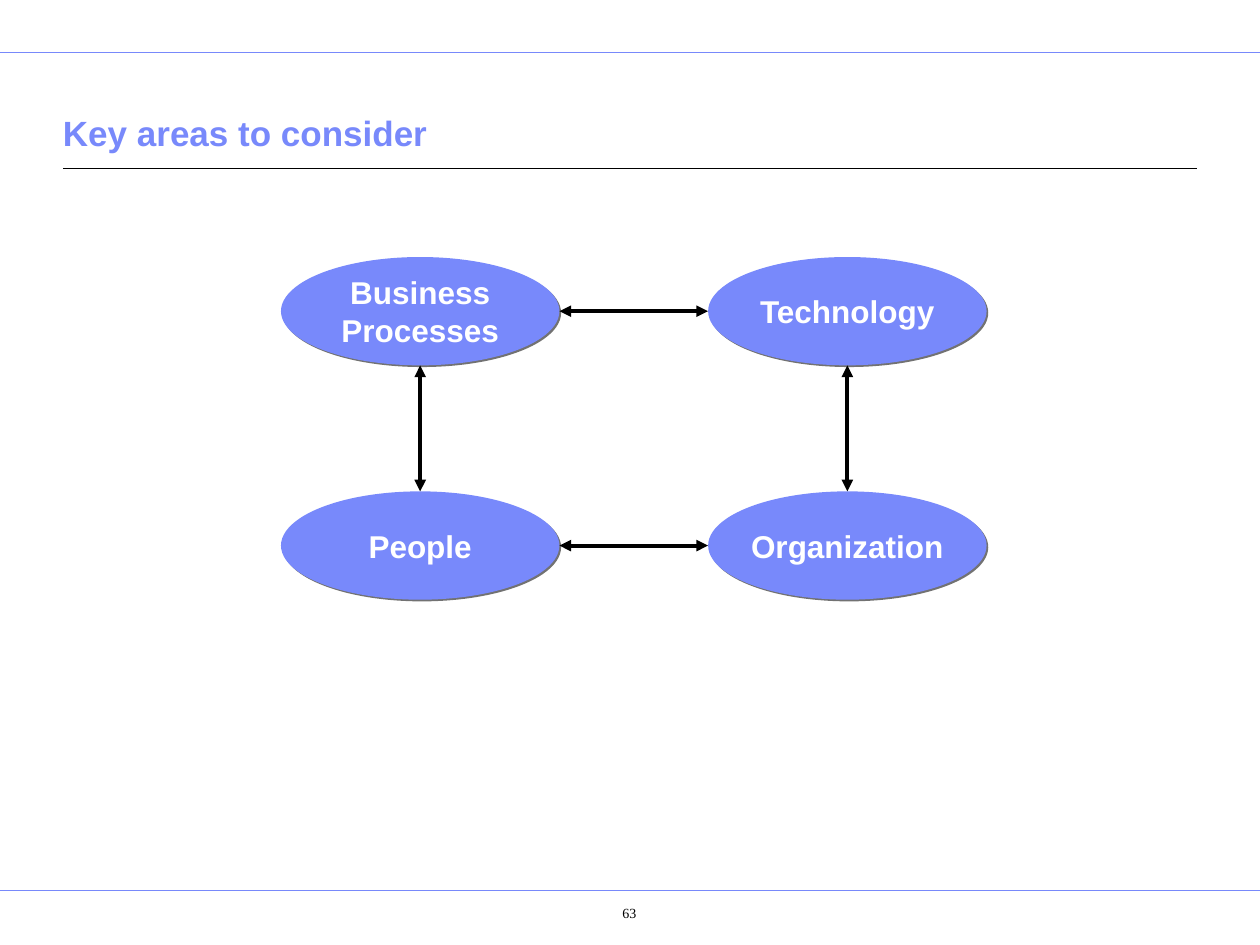
from lxml import etree
from pptx import Presentation
from pptx import util as u
from pptx.dml.color import RGBColor
from pptx.enum import shapes, text
from pptx.oxml import ns

hues = {"blue": "7889FB", "black": "000000", "white": "FFFFFF", "shade": "727272"}
hue = {name: RGBColor.from_string(code) for name, code in hues.items()}

deck = Presentation()
deck.slide_width, deck.slide_height = u.Inches(10), u.Inches(7.5)
slide = deck.slides.add_slide(deck.slide_layouts[6])


def draw(x1, y1, x2, y2, tint, width, heads=False):
    line = slide.shapes.add_connector(
        shapes.MSO_CONNECTOR.STRAIGHT, *map(u.Inches, (x1, y1, x2, y2)))
    line.line.color.rgb = hue[tint]
    line.line.width = u.Pt(width)
    if heads:
        for end in ("headEnd", "tailEnd"):
            etree.SubElement(line.line._ln, ns.qn(f"a:{end}"), type="triangle")
    etree.SubElement(line._element.spPr, ns.qn("a:effectLst"))


def write(shape, words, size, face, tint, bold, align, anchor, pads):
    frame = shape.text_frame
    frame.text = words
    frame.vertical_anchor = anchor
    frame.margin_left, frame.margin_top, frame.margin_right, frame.margin_bottom = map(
        u.Inches, pads)
    for para in frame.paragraphs:
        para.alignment = align
        for run in para.runs:
            run.font.size, run.font.name, run.font.bold = u.Pt(size), face, bold
            run.font.color.rgb = hue[tint]
    return frame


mid = text.PP_ALIGN.CENTER
for y in (0.42, 7.07):
    draw(0, y, 10, y, "blue", 0.5)
draw(0.5, 1.34, 9.5, 1.34, "black", 0.75)

title = slide.shapes.add_textbox(*map(u.Inches, (0.5, 0.64, 9, 0.63)))
write(title, "Key areas to consider", 20, "Arial", "blue", True, text.PP_ALIGN.LEFT,
      text.MSO_ANCHOR.BOTTOM, (0, 0.05, 0, 0.05)).word_wrap = True

cols, rows = (2.23, 5.62), (2.04, 3.9)
wide, high = 2.21, 0.86
areas = (("Business\nProcesses", "Technology"), ("People", "Organization"))
for y, names in zip(rows, areas):
    for x, name in zip(cols, names):
        oval = slide.shapes.add_shape(
            shapes.MSO_SHAPE.OVAL, *map(u.Inches, (x, y, wide, high)))
        oval.fill.solid()
        oval.fill.fore_color.rgb = hue["blue"]
        oval.line.fill.background()
        oval.shadow.inherit = False
        glow = etree.SubElement(
            oval._element.spPr.find(ns.qn("a:effectLst")), ns.qn("a:outerShdw"),
            dist=str(u.Pt(1.4)), dir="2700000", algn="ctr", rotWithShape="0")
        etree.SubElement(glow, ns.qn("a:srgbClr"), val=hues["shade"])
        write(oval, name, 18, "Arial", "white", True, mid,
              text.MSO_ANCHOR.MIDDLE, (0.1, 0.05, 0.1, 0.05)).word_wrap = False

for y in rows:
    draw(cols[0] + wide, y + high / 2, cols[1], y + high / 2, "black", 2.25, True)
for x in cols:
    draw(x + wide / 2, rows[0] + high, x + wide / 2, rows[1], "black", 2.25, True)

page = slide.shapes.add_textbox(*map(u.Inches, (4.27, 7.11, 1.15, 0.35)))
write(page, "63", 8, "Times New Roman", "black", False, mid,
      text.MSO_ANCHOR.TOP, (0.4, 0.07, 0.1, 0.05)).word_wrap = True

deck.save("out.pptx")
